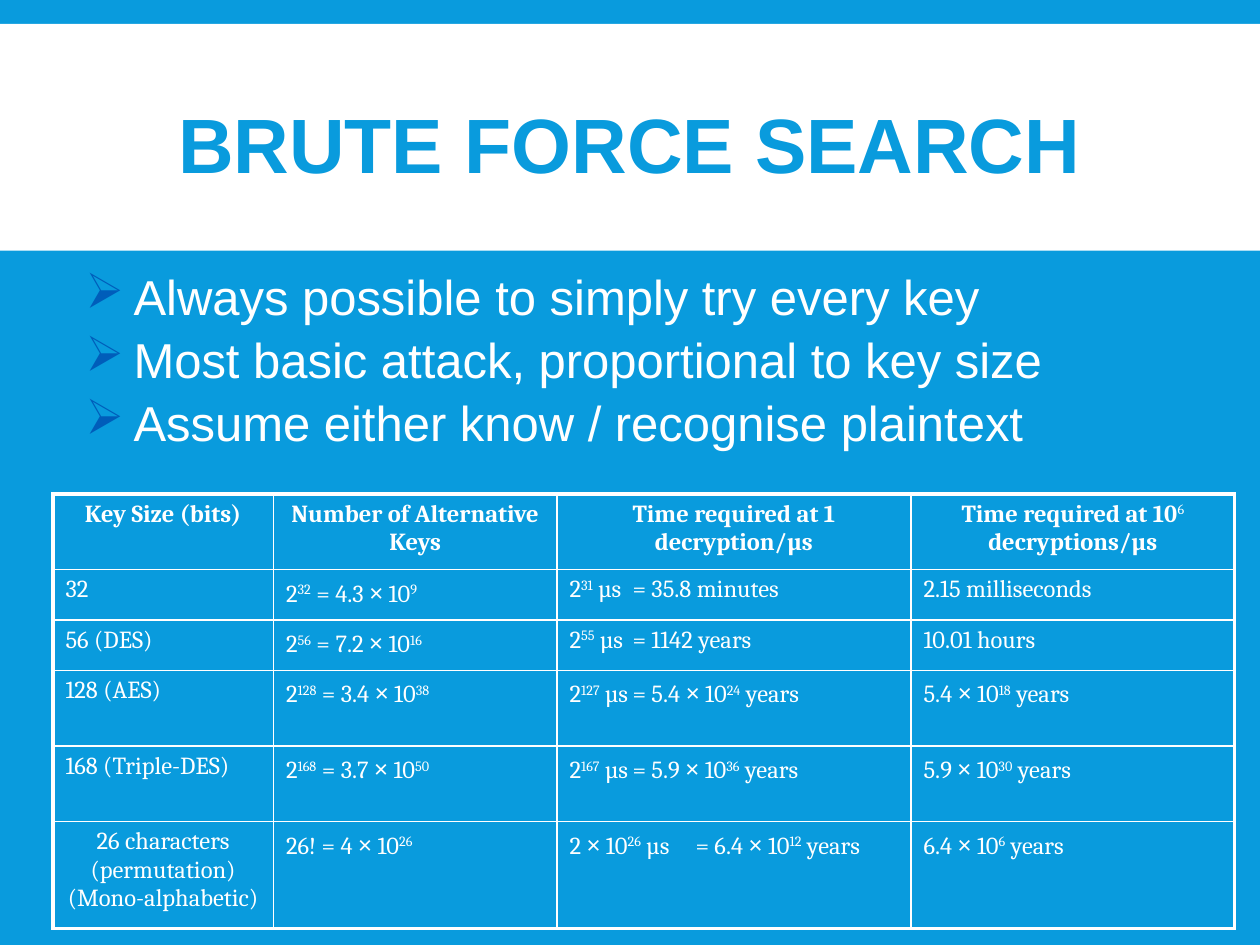
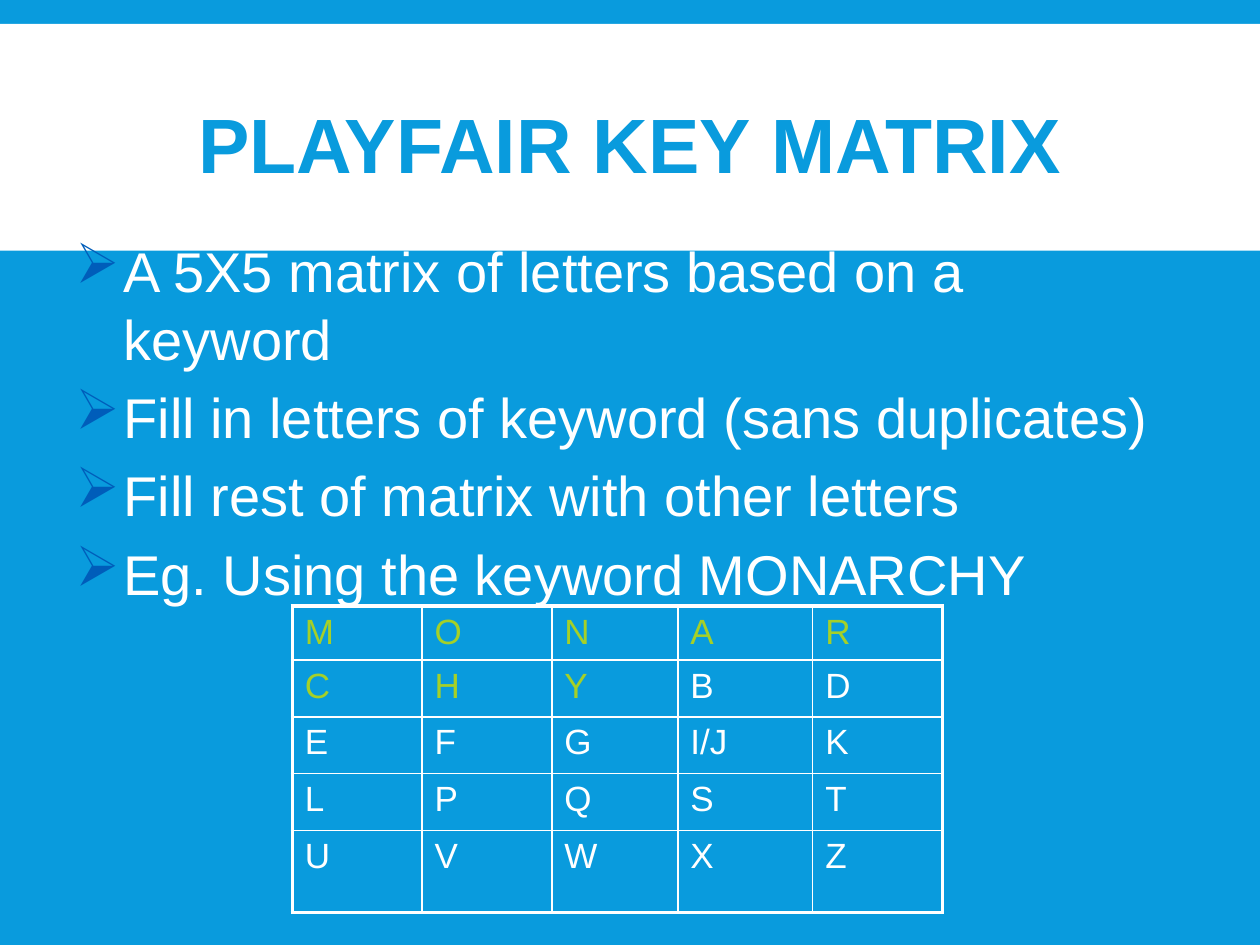
import pptx
import pptx.dml.color
import pptx.enum.shapes
import pptx.enum.text
import pptx.oxml
import pptx.oxml.ns
import pptx.util

# Slide size, and a grid of 10 columns by 7.5 rows
WIDE = pptx.util.Inches(10)
TALL = pptx.util.Inches(7.5)
COL = WIDE / 10
ROW = TALL / 7.5

# Shared look
BLUE, NAVY, WHITE, GREEN = "099BDD", "005DBA", "FFFFFF", "A5D028"
SANS, SERIF, SIGN = "Arial", "Cambria", "Noto Sans"
THIN, THICK = 1, 2.25
ALIGN = pptx.enum.text.PP_ALIGN

KEYWORD = "MONARCHY"
MATRIX = ["M O N A R", "C H Y B D", "E F G I/J K", "L P Q S T", "U V W X Z"]

# Powers stand between carets
SEARCH = [
    ["Key Size (bits)", "Number of Alternative Keys",
     "Time required at 1 decryption/µs",
     "Time required at 10^6^ decryptions/µs"],
    ["32", "2^32^ = 4.3 × 10^9^", "2^31^ µs\t= 35.8 minutes",
     "2.15 milliseconds"],
    ["56 (DES)", "2^56^ = 7.2 × 10^16^", "2^55^ µs\t= 1142 years",
     "10.01 hours"],
    ["128 (AES)", "2^128^ = 3.4 × 10^38^",
     "2^127^ µs\t= 5.4 × 10^24^ years", "5.4 × 10^18^ years"],
    ["168 (Triple-DES)", "2^168^ = 3.7 × 10^50^",
     "2^167^ µs\t= 5.9 × 10^36^ years", "5.9 × 10^30^ years"],
    ["26 characters (permutation)\n(Mono-alphabetic)", "26! = 4 × 10^26^",
     "2 × 10^26^ µs\t= 6.4 × 10^12^ years", "6.4 × 10^6^ years"],
]


def hue(code):
    return pptx.dml.color.RGBColor.from_string(code)


def area(left, top, width, height):
    """Turn grid columns and rows into slide lengths."""
    return [round(n * unit) for n, unit in
            zip((left, top, width, height), (COL, ROW, COL, ROW))]


def place(shape, *spot):
    shape.left, shape.top, shape.width, shape.height = area(*spot)


def mark(para):
    """Give a paragraph an arrow bullet with a hanging indent."""
    props = para._p.get_or_add_pPr()
    hang = pptx.util.Inches(0.38)
    props.set("marL", str(hang))
    props.set("indent", str(-hang))
    space = pptx.oxml.ns.nsdecls("a")
    for part in (f'<a:buClr {space}><a:srgbClr val="{NAVY}"/></a:buClr>',
                 f'<a:buFont {space} typeface="Wingdings"/>',
                 f'<a:buChar {space} char="Ø"/>'):
        props.append(pptx.oxml.parse_xml(part))


def write(frame, text, size=14, font=SANS, color=WHITE, bold=False,
          align=None, lead=1.0, gap=0, bullet=False):
    """Write one paragraph per line, raising what stands between carets."""
    for row, line in enumerate(text.split("\n")):
        para = frame.add_paragraph() if row else frame.paragraphs[0]
        if bullet:
            mark(para)
        para.alignment = align
        para.line_spacing = lead
        para.space_before = pptx.util.Pt(gap if row else 0)
        for turn, part in enumerate(line.split("^")):
            power = turn % 2 == 1
            for bit in part.replace("×", "|×|").split("|"):
                if not bit:
                    continue
                run = para.add_run()
                run.text = bit
                run.font.size = pptx.util.Pt(size)
                run.font.name = SIGN if bit == "×" else font
                run.font.bold = bold and not power
                run.font.color.rgb = hue(color)
                if power:
                    run.font._element.set("baseline", "30000")


def edge(cell, sides):
    """Draw the borders of a cell; sides are widths of L, R, T and B."""
    props = cell._tc.get_or_add_tcPr()
    space = pptx.oxml.ns.nsdecls("a")
    for spot, (side, width) in enumerate(zip("LRTB", sides)):
        props.insert(spot, pptx.oxml.parse_xml(
            f'<a:ln{side} {space} w="{pptx.util.Pt(width)}"><a:solidFill>'
            f'<a:srgbClr val="{WHITE}"/></a:solidFill></a:ln{side}>'))


def grid(slide, left, top, cols, rows, cells, style):
    """Add a table; style(row, text) gives the format of a cell."""
    spot = area(left, top, sum(cols), sum(rows))
    table = slide.shapes.add_table(len(rows), len(cols), *spot).table
    table.first_row = table.horz_banding = False
    for col, width in zip(table.columns, cols):
        col.width = round(width * COL)
    for row, height in zip(table.rows, rows):
        row.height = round(height * ROW)
    for r, line in enumerate(cells):
        for c, text in enumerate(line):
            cell = table.cell(r, c)
            cell.fill.background()
            outer = (c == 0, c == len(cols) - 1, r == 0, r == len(rows) - 1)
            edge(cell, [THICK if out else THIN for out in outer])
            write(cell.text_frame, text, **style(r, text))


def theme(deck):
    """Put the blue ground and the white title band on the master."""
    master = deck.slide_master
    master.background.fill.solid()
    master.background.fill.fore_color.rgb = hue(BLUE)


def band(deck, slide):
    """Build the band, then move it behind everything on the master."""
    shape = slide.shapes.add_shape(
        pptx.enum.shapes.MSO_SHAPE.RECTANGLE, *area(0, 0.19, 10, 1.8))
    shape.shadow.inherit = False
    shape.fill.solid()
    shape.fill.fore_color.rgb = hue(WHITE)
    shape.line.fill.background()
    deck.slide_master.shapes.element.insert(2, shape.element)


def page(deck, title, points, spot, **form):
    """Add a slide with a title and a bulleted list."""
    slide = deck.slides.add_slide(deck.slide_layouts[1])
    head, body = slide.placeholders
    place(head, 0.75, 0.31, 8.5, 1.65)
    place(body, *spot)
    for shape in (head, body):
        shape.text_frame.auto_size = pptx.enum.text.MSO_AUTO_SIZE.NONE
        shape.text_frame.word_wrap = True
    head.text_frame.vertical_anchor = pptx.enum.text.MSO_ANCHOR.MIDDLE
    write(head.text_frame, title, size=44, color=BLUE, bold=True,
          align=ALIGN.CENTER)
    write(body.text_frame, "\n".join(points), bullet=True, **form)
    return slide


def key_style(row, text):
    middle = row == 0 or "\n" in text
    return dict(font=SERIF, bold=row == 0,
                align=ALIGN.CENTER if middle else None)


def letter_style(row, text):
    return dict(size=20, color=GREEN if text in KEYWORD else WHITE)


def main():
    deck = pptx.Presentation()
    deck.slide_width, deck.slide_height = WIDE, TALL
    theme(deck)

    # Brute force search
    slide = page(deck, "BRUTE FORCE SEARCH", [
        "Always possible to simply try every key",
        "Most basic attack, proportional to key size",
        "Assume either know / recognise plaintext",
    ], (0.58, 2.12, 9, 2), size=28, lead=0.9, gap=5.6)
    band(deck, slide)
    grid(slide, 0.42, 3.92, [1.75, 2.25, 2.81, 2.57],
         [0.6, 0.4, 0.4, 0.6, 0.6, 0.85], SEARCH, key_style)

    # Playfair key matrix
    slide = page(deck, "PLAYFAIR KEY MATRIX", [
        "A 5X5 matrix of letters based on a keyword",
        "Fill in letters of keyword (sans duplicates)",
        "Fill rest of matrix with other letters",
        f"Eg. Using the keyword {KEYWORD}",
    ], (0.5, 1.83, 9, 2.92), size=32, gap=6.4)
    grid(slide, 2.32, 4.81, [1.03, 1.03, 1, 1.07, 1.03],
         [0.43, 0.45, 0.45, 0.45, 0.65],
         [line.split() for line in MATRIX], letter_style)

    deck.save("out.pptx")


if __name__ == "__main__":
    main()
